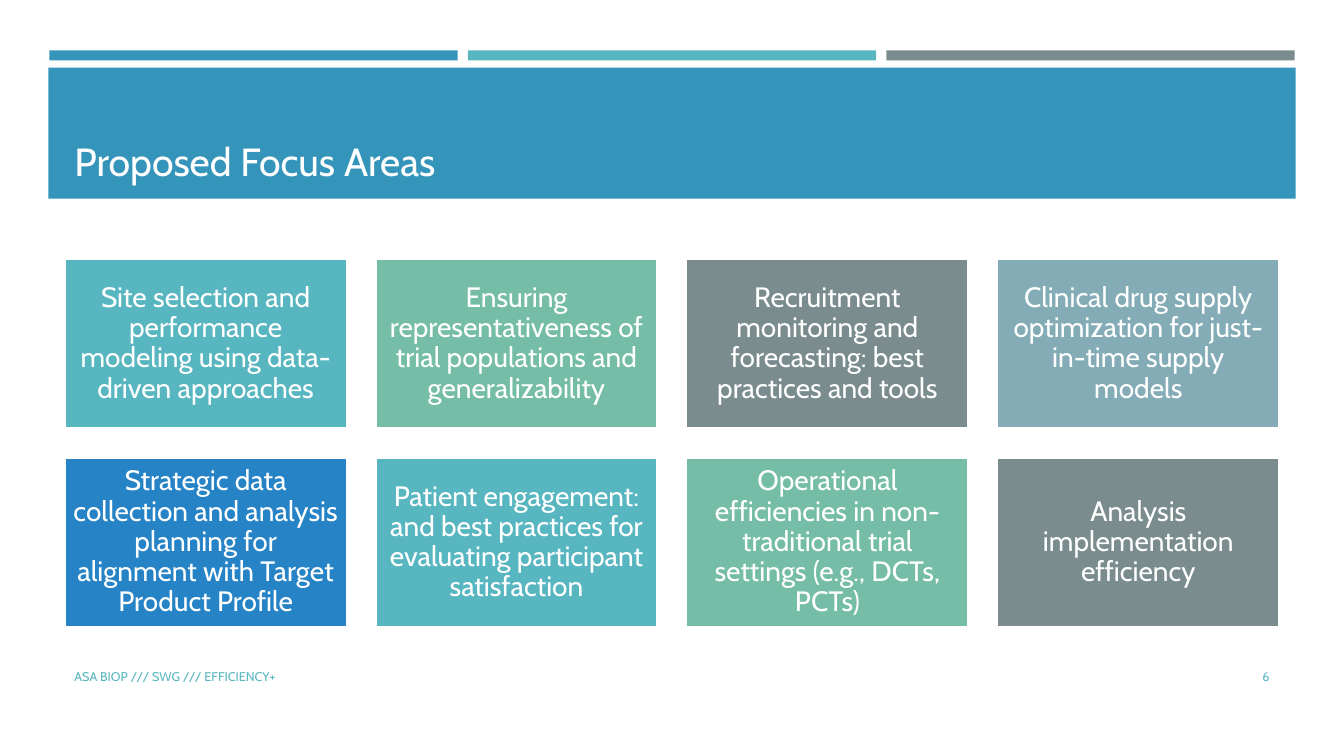
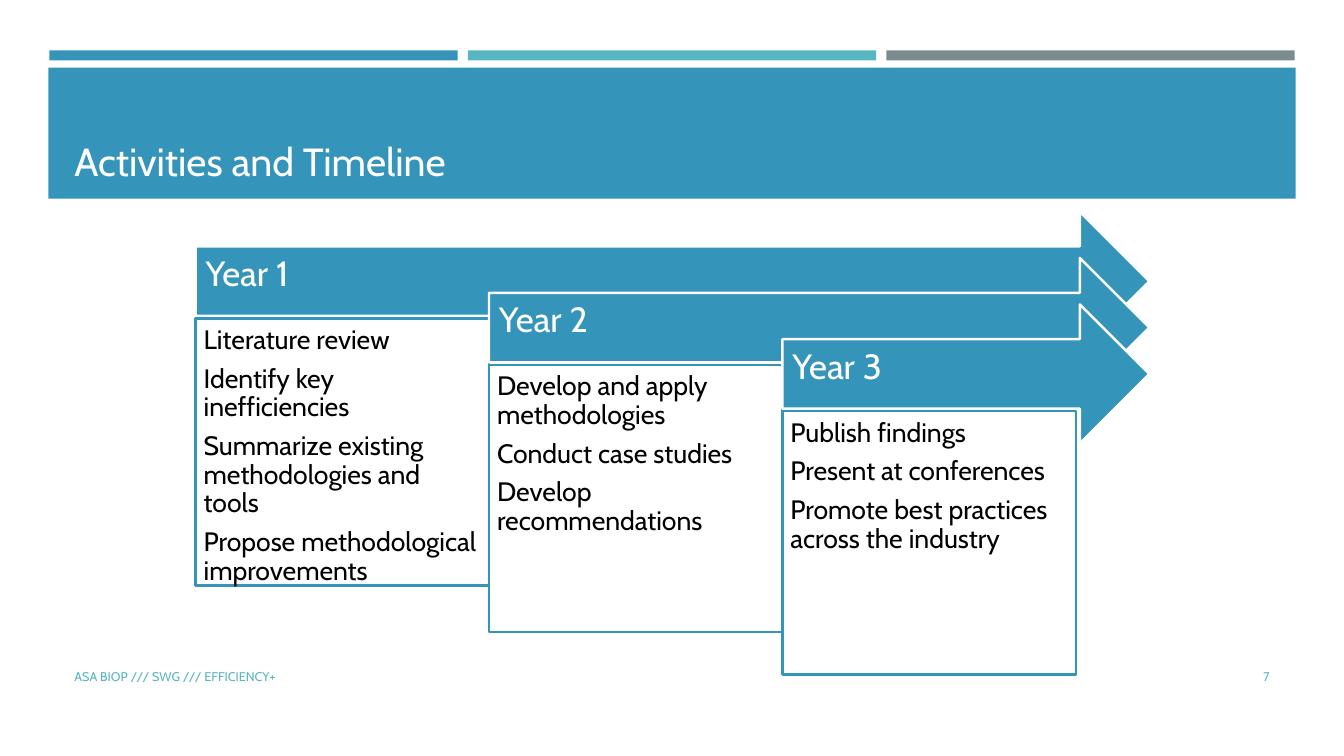
"""Build the focus area and timeline slides of the EFFICIENCY+ working group."""
from dataclasses import dataclass
from typing import Any

from pptx import Presentation
from pptx.dml.color import RGBColor
from pptx.enum.shapes import MSO_SHAPE
from pptx.enum.text import MSO_ANCHOR, PP_ALIGN
from pptx.util import Inches, Pt

BLUE = RGBColor(0x34, 0x94, 0xBA)
TEAL = RGBColor(0x58, 0xB6, 0xC0)
GREEN = RGBColor(0x75, 0xBD, 0xA7)
GREY = RGBColor(0x7A, 0x8C, 0x8E)
MIST = RGBColor(0x84, 0xAC, 0xB6)
ROYAL = RGBColor(0x26, 0x83, 0xC6)
WHITE = RGBColor(0xFF, 0xFF, 0xFF)
BLACK = RGBColor(0x00, 0x00, 0x00)

FONT = "Cabin"
FOOTER = "ASA BIOP /// SWG /// EFFICIENCY+"
SLIDE_WIDTH, SLIDE_HEIGHT = 13.33, 7.5
MARGIN = 0.64
CONTENT_WIDTH = SLIDE_WIDTH - 2 * MARGIN
FOOTER_TOP, FOOTER_HEIGHT = 6.51, 0.4
NUMBER_WIDTH = 1.15
TILE_COLUMNS = 4
TILE_WIDTH, TILE_HEIGHT = 2.8, 1.68
TILE_TOP, TILE_ROW_PITCH = 2.57, 1.97
TIMELINE_LEFT, TIMELINE_TOP, TIMELINE_RIGHT = 1.94, 2.1, 11.4
YEAR_WIDTH, YEAR_DROP = 2.91, 0.46
ARROW_HEIGHT, PANEL_DROP = 1.38, 1.06


@dataclass(frozen=True)
class Box:
    """Hold a place on the slide in inches."""

    left: float
    top: float
    width: float
    height: float

    def lengths(self) -> list[int]:
        """Return the place as slide lengths."""
        return [Inches(v) for v in (self.left, self.top, self.width, self.height)]


@dataclass(frozen=True)
class TextStyle:
    """Describe how a block of text looks."""

    size: float
    color: RGBColor
    align: PP_ALIGN = PP_ALIGN.LEFT
    anchor: MSO_ANCHOR = MSO_ANCHOR.MIDDLE
    insets: tuple[float, float, float, float] = (0.1, 0.05, 0.1, 0.05)
    line_spacing: float = 1.0
    space_after: float = 0


@dataclass(frozen=True)
class FocusArea:
    """Pair a focus area with its tile colour."""

    topic: str
    color: RGBColor


@dataclass(frozen=True)
class Year:
    """Describe one year of the timeline."""

    label: str
    activities: tuple[str, ...]
    panel_height: float = 2.65


TITLE_STYLE = TextStyle(28, WHITE, anchor=MSO_ANCHOR.BOTTOM)
FOOTER_STYLE = TextStyle(9, TEAL)
NUMBER_STYLE = TextStyle(9, TEAL, align=PP_ALIGN.RIGHT)
TILE_STYLE = TextStyle(20, WHITE, PP_ALIGN.CENTER, insets=(0.08,) * 4,
                       line_spacing=0.9, space_after=7)
YEAR_STYLE = TextStyle(25, WHITE, insets=(0.1, 0.1, 0.28, 0.22),
                       line_spacing=0.9, space_after=9)
ACTIVITY_STYLE = TextStyle(19, BLACK, anchor=MSO_ANCHOR.TOP, insets=(0.08,) * 4,
                           line_spacing=0.9, space_after=7)

FOCUS_AREAS = (
    FocusArea("Site selection and performance modeling using data-driven approaches", TEAL),
    FocusArea("Ensuring representativeness of trial populations and generalizability", GREEN),
    FocusArea("Recruitment monitoring and forecasting: best practices and tools", GREY),
    FocusArea("Clinical drug supply optimization for just-in-time supply models", MIST),
    FocusArea("Strategic data collection and analysis planning for alignment with "
              "Target Product Profile", ROYAL),
    FocusArea("Patient engagement: and best practices for evaluating participant "
              "satisfaction", TEAL),
    FocusArea("Operational efficiencies in non-traditional trial settings "
              "(e.g., DCTs, PCTs)", GREEN),
    FocusArea("Analysis implementation efficiency", GREY),
)

YEARS = (
    Year("Year 1", ("Literature review", "Identify key inefficiencies",
                    "Summarize existing methodologies and tools",
                    "Propose methodological improvements")),
    Year("Year 2", ("Develop and apply methodologies", "Conduct case studies",
                    "Develop recommendations")),
    Year("Year 3", ("Publish findings", "Present at conferences",
                    "Promote best practices across the industry"), 2.61),
)


def apply_format(target: Any, values: dict[str, Any]) -> None:
    """Set each named attribute on the target."""
    for attribute, value in values.items():
        setattr(target, attribute, value)


def write(frame: Any, lines: tuple[str, ...], style: TextStyle) -> None:
    """Fill a text frame with one paragraph per line."""
    left, top, right, bottom = (Inches(inset) for inset in style.insets)
    apply_format(frame, {
        "word_wrap": True, "vertical_anchor": style.anchor, "margin_left": left,
        "margin_top": top, "margin_right": right, "margin_bottom": bottom,
    })
    for index, line in enumerate(lines):
        paragraph = frame.add_paragraph() if index else frame.paragraphs[0]
        apply_format(paragraph, {
            "alignment": style.align, "line_spacing": style.line_spacing,
            "space_after": Pt(style.space_after),
        })
        run = paragraph.add_run()
        run.text = line
        apply_format(run.font, {"name": FONT, "size": Pt(style.size)})
        run.font.color.rgb = style.color


def add_label(slide: Any, box: Box, text: str, style: TextStyle) -> None:
    """Add a line of free text."""
    write(slide.shapes.add_textbox(*box.lengths()).text_frame, (text,), style)


def add_block(slide: Any, box: Box, fill: RGBColor, outline: RGBColor | None = None,
              kind: MSO_SHAPE = MSO_SHAPE.RECTANGLE) -> Any:
    """Add a flat filled shape and return it."""
    block = slide.shapes.add_shape(kind, *box.lengths())
    block.shadow.inherit = False
    block.fill.solid()
    block.fill.fore_color.rgb = fill
    if outline is None:
        block.line.fill.background()
    else:
        block.line.color.rgb = outline
        block.line.width = Pt(1.75)
    return block


def add_framed_slide(deck: Any, title: str, number: int) -> Any:
    """Add a slide with the shared bands, title and footer."""
    slide = deck.slides.add_slide(deck.slide_layouts[6])
    for column, color in enumerate((BLUE, TEAL, GREY)):
        add_block(slide, Box(0.49 + 4.15 * column, 0.5, 4.05, 0.1), color)
    add_block(slide, Box(0.48, 0.67, 12.37, 1.3), BLUE)
    add_label(slide, Box(MARGIN, 0.77, CONTENT_WIDTH, 1.11), title, TITLE_STYLE)
    add_label(slide, Box(MARGIN, FOOTER_TOP, 7.56, FOOTER_HEIGHT), FOOTER, FOOTER_STYLE)
    number_left = SLIDE_WIDTH - MARGIN - NUMBER_WIDTH
    add_label(slide, Box(number_left, FOOTER_TOP, NUMBER_WIDTH, FOOTER_HEIGHT),
              str(number), NUMBER_STYLE)
    return slide


def add_focus_areas(slide: Any) -> None:
    """Lay the focus areas out as a grid of tiles."""
    column_pitch = (CONTENT_WIDTH - TILE_WIDTH) / (TILE_COLUMNS - 1)
    for index, area in enumerate(FOCUS_AREAS):
        row, column = divmod(index, TILE_COLUMNS)
        box = Box(MARGIN + column * column_pitch, TILE_TOP + row * TILE_ROW_PITCH,
                  TILE_WIDTH, TILE_HEIGHT)
        tile = add_block(slide, box, area.color, WHITE)
        write(tile.text_frame, (area.topic,), TILE_STYLE)


def add_timeline(slide: Any) -> None:
    """Stack the year arrows and their activity panels as steps."""
    for step, year in enumerate(YEARS):
        left = TIMELINE_LEFT + step * YEAR_WIDTH
        top = TIMELINE_TOP + step * YEAR_DROP
        arrow = add_block(slide, Box(left, top, TIMELINE_RIGHT - left, ARROW_HEIGHT),
                          BLUE, WHITE, MSO_SHAPE.RIGHT_ARROW)
        write(arrow.text_frame, (year.label,), YEAR_STYLE)
        panel = add_block(slide, Box(left, top + PANEL_DROP, YEAR_WIDTH, year.panel_height),
                          WHITE, BLUE)
        write(panel.text_frame, year.activities, ACTIVITY_STYLE)


def main() -> None:
    """Build and save the deck."""
    deck = Presentation()
    apply_format(deck, {"slide_width": Inches(SLIDE_WIDTH),
                        "slide_height": Inches(SLIDE_HEIGHT)})
    add_focus_areas(add_framed_slide(deck, "Proposed Focus Areas", 6))
    add_timeline(add_framed_slide(deck, "Activities and Timeline", 7))
    deck.save("out.pptx")


if __name__ == "__main__":
    main()
